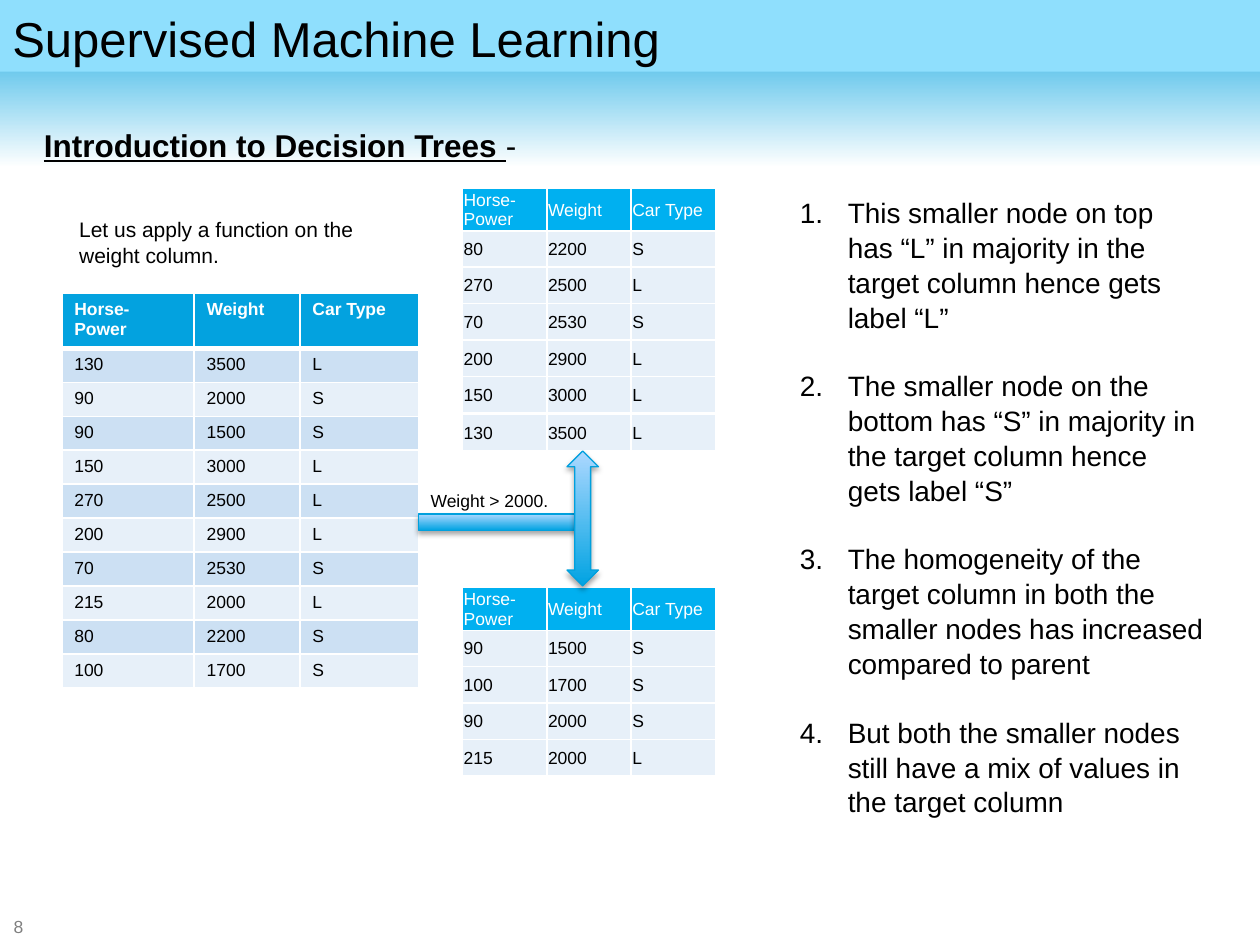
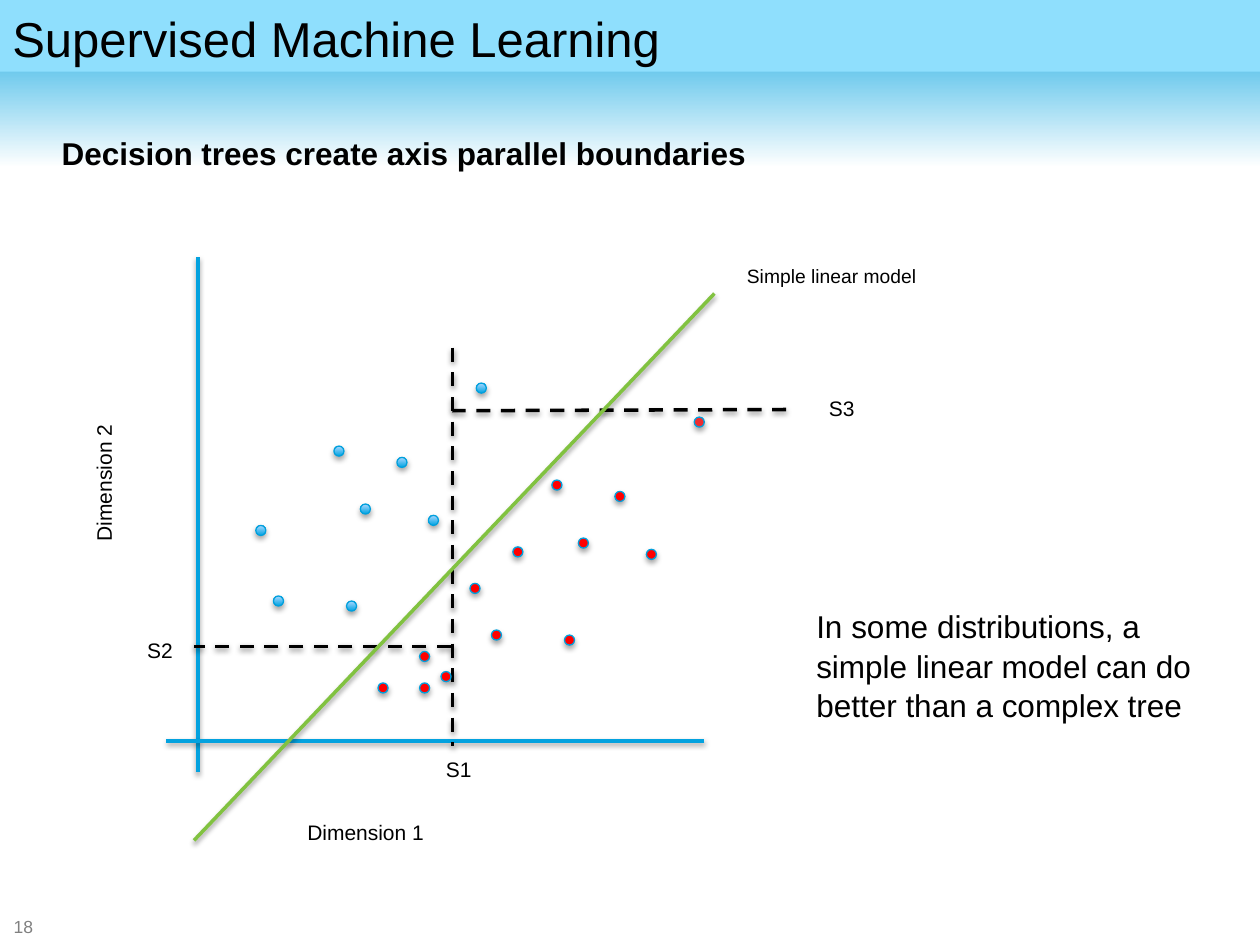
from lxml import etree
from pptx import Presentation
from pptx.dml.color import RGBColor
from pptx.enum.dml import MSO_LINE
from pptx.enum.shapes import MSO_CONNECTOR, MSO_SHAPE
from pptx.enum.text import MSO_ANCHOR
from pptx.oxml.ns import qn
from pptx.util import Inches, Pt

RECTANGLE, OVAL, UP_DOWN_ARROW = MSO_SHAPE.RECTANGLE, MSO_SHAPE.OVAL, MSO_SHAPE.UP_DOWN_ARROW
STRAIGHT, DASH = MSO_CONNECTOR.STRAIGHT, MSO_LINE.DASH
MIDDLE, TOP = MSO_ANCHOR.MIDDLE, MSO_ANCHOR.TOP

BLACK = RGBColor(0x00, 0x00, 0x00)
WHITE = RGBColor(0xFF, 0xFF, 0xFF)
GRAY = RGBColor(0x80, 0x80, 0x80)
TITLE_BLUE = RGBColor(0x8F, 0xDF, 0xFD)
THEME_BLUE = RGBColor(0x03, 0xA2, 0xDF)
NODE_BLUE = RGBColor(0x00, 0xB0, 0xF0)
DEEP_BLUE = RGBColor(0x00, 0xA3, 0xE2)
SOFT_BLUE = RGBColor(0xAD, 0xD8, 0xFF)
OUTLINE_BLUE = RGBColor(0x00, 0xA0, 0xDD)
ROW_DARK = RGBColor(0xCC, 0xE0, 0xF3)
ROW_LIGHT = RGBColor(0xE7, 0xF0, 0xF9)
RED = RGBColor(0xFF, 0x00, 0x00)
OUTLIER_RED = RGBColor(0xEE, 0x2D, 0x30)
GREEN = RGBColor(0x81, 0xC2, 0x40)

WIDTH, HEIGHT = 10, 7.5
FONT = "Arial"
LINE_SPACING = 1.04
TITLE = "Supervised Machine Learning"

HEADER = ("Horse-Power", "Weight", "Car Type")
CARS = [
    (130, 3500, "L"), (90, 2000, "S"), (90, 1500, "S"), (150, 3000, "L"), (270, 2500, "L"),
    (200, 2900, "L"), (70, 2530, "S"), (215, 2000, "L"), (80, 2200, "S"), (100, 1700, "S"),
]
HEAVY_CARS = [
    (80, 2200, "S"), (270, 2500, "L"), (70, 2530, "S"),
    (200, 2900, "L"), (150, 3000, "L"),
]
HEAVIEST_CAR = [(130, 3500, "L")]
LIGHT_CARS = [(90, 1500, "S"), (100, 1700, "S"), (90, 2000, "S"), (215, 2000, "L")]
NODE_LEFT, NODE_COLUMN, NODE_ROW, NODE_HEADER = 3.67, 0.67, 0.29, 0.34
NODE_PARTS = [
    (1.83, HEAVY_CARS, False), (3.29, HEAVIEST_CAR, False), (5, LIGHT_CARS, False),
    (1.49, [HEADER], True), (4.66, [HEADER], True),
]
FINDINGS = [
    "This smaller node on top has “L” in majority in the target column hence gets label “L”",
    "The smaller node on the bottom has “S” in majority in the target column hence gets label “S”",
    "The homogeneity of the target column in both the smaller nodes has increased compared to parent",
    "But both the smaller nodes still have a mix of values in the target column",
]

POINT_SIZE = 0.08
BLUE_POINTS = [
    (2.65, 3.54), (3.15, 3.63), (2.86, 4), (3.4, 4.09),
    (2.03, 4.17), (3.78, 3.04), (2.17, 4.73), (2.75, 4.77),
]
RED_POINTS = [
    (4.38, 3.81), (4.88, 3.9), (4.59, 4.27), (5.13, 4.36), (4.07, 4.34), (3.9, 5),
    (4.48, 5.04), (3.73, 4.63), (3.33, 5.17), (3.33, 5.42), (3, 5.42), (3.5, 5.33),
]
OUTLIER_POINTS = [(5.51, 3.31)]
PLOT_LINES = [
    ((1.57, 2.04), (1.57, 6.13), THEME_BLUE, False),
    ((5.59, 5.88), (1.32, 5.88), THEME_BLUE, False),
    ((3.59, 2.76), (3.59, 5.92), BLACK, True),
    ((6.24, 3.25), (3.59, 3.26), BLACK, True),
    ((3.58, 5.13), (1.54, 5.13), BLACK, True),
    ((1.54, 6.67), (5.67, 2.33), GREEN, False),
]
PLOT_LABELS = [
    ("Dimension 1", (2.34, 6.45, 1.25, 0.3), 12, 0),
    ("Dimension 2", (0.19, 3.62, 1.25, 0.3), 12, 270),
    ("Simple linear model", (5.83, 2.04, 2.14, 0.29), 11, 0),
    ("S3", (6.48, 3.08, 0.52, 0.3), 12, 0),
    ("S1", (3.44, 5.95, 0.52, 0.3), 12, 0),
    ("S2", (1.07, 5, 0.52, 0.3), 12, 0),
    ("In some distributions, a simple linear model can do better than a complex tree",
     (6.38, 4.76, 3.18, 1.01), 18, 0),
]


def inches(values):
    return [Inches(value) for value in values]


def add_run(paragraph, text, size, color=BLACK, bold=False, underline=False):
    run = paragraph.add_run()
    run.text = text
    font = run.font
    font.name, font.size, font.bold, font.underline = FONT, Pt(size), bold, underline
    font.color.rgb = color


def add_text(slide, box, text, size, color=BLACK, bold=False):
    shape = slide.shapes.add_textbox(*inches(box))
    shape.text_frame.word_wrap = True
    paragraph = shape.text_frame.paragraphs[0]
    paragraph.line_spacing = LINE_SPACING
    add_run(paragraph, text, size, color, bold)
    return shape


def add_shadow(shape, opacity, distance):
    effects = etree.SubElement(shape._element.spPr, qn("a:effectLst"))
    shadow = etree.SubElement(effects, qn("a:outerShdw"), blurRad=str(Pt(3.1)),
                              dist=str(Pt(distance)), dir="5400000", rotWithShape="0")
    color = etree.SubElement(shadow, qn("a:srgbClr"), val=str(BLACK))
    etree.SubElement(color, qn("a:alpha"), val=str(opacity * 1000))


def fill_gradient(shape, start, end, angle):
    shape.fill.gradient()
    shape.fill.gradient_angle = angle
    for stop, color in zip(shape.fill.gradient_stops, (start, end)):
        stop.color.rgb = color


def add_glossy(shapes, kind, box, color=None):
    shape = shapes.add_shape(kind, *inches(box))
    if color is None:
        fill_gradient(shape, DEEP_BLUE, SOFT_BLUE, 90)
    else:
        shape.fill.solid()
        shape.fill.fore_color.rgb = color
    shape.line.color.rgb = OUTLINE_BLUE
    shape.line.width = Pt(0.75)
    add_shadow(shape, 35, 1.8)


def add_plot_line(slide, start, end, color, dashed):
    line = slide.shapes.add_connector(STRAIGHT, *inches(start + end))
    line.line.color.rgb = color
    line.line.width = Pt(2)
    if dashed:
        line.line.dash_style = DASH
    add_shadow(line, 38, 1.6)


def add_border(cell, side, width):
    border = etree.SubElement(cell._tc.get_or_add_tcPr(), qn("a:ln" + side), w=str(Pt(width)))
    fill = etree.SubElement(border, qn("a:solidFill"))
    etree.SubElement(fill, qn("a:srgbClr"), val=str(WHITE))


def add_grid(slide, left, top, columns, heights, rows, fills, header, header_bold, compact):
    frame = slide.shapes.add_table(len(rows), len(columns), *inches(
        (left, top, sum(columns), sum(heights))))
    table = frame.table
    table.first_row = table.horz_banding = False
    for column, width in zip(table.columns, columns):
        column.width = Inches(width)
    for r, (values, height, fill) in enumerate(zip(rows, heights, fills)):
        table.rows[r].height = Inches(height)
        is_header = header and r == 0
        for c, value in enumerate(values):
            cell = table.cell(r, c)
            for side in "LRTB":
                thick = header_bold and (r, side) in ((0, "B"), (1, "T"))
                add_border(cell, side, 3 if thick else 1)
            cell.fill.solid()
            cell.fill.fore_color.rgb = fill
            cell.vertical_anchor = MIDDLE if compact else TOP
            if compact:
                cell.margin_left = cell.margin_top = cell.margin_right = Inches(0.01)
                cell.margin_bottom = 0
            add_run(cell.text_frame.paragraphs[0], str(value), 10,
                    WHITE if is_header else BLACK, is_header and header_bold)


def add_node_part(slide, top, rows, is_header):
    height, fill = (NODE_HEADER, NODE_BLUE) if is_header else (NODE_ROW, ROW_LIGHT)
    add_grid(slide, NODE_LEFT, top, [NODE_COLUMN] * 3, [height] * len(rows), rows,
             [fill] * len(rows), is_header, False, True)


def add_findings(slide):
    shape = slide.shapes.add_textbox(*inches((6.25, 1.49, 3.42, 5.25)))
    frame = shape.text_frame
    frame.word_wrap = True
    for index, finding in enumerate(FINDINGS):
        paragraph = frame.paragraphs[0] if index == 0 else frame.add_paragraph()
        paragraph.line_spacing = LINE_SPACING
        if index:
            paragraph.space_before = Pt(19.2)
        properties = paragraph._p.get_or_add_pPr()
        properties.set("marL", str(Inches(0.38)))
        properties.set("indent", str(Inches(-0.38)))
        etree.SubElement(properties, qn("a:buFont"), typeface=FONT)
        etree.SubElement(properties, qn("a:buAutoNum"), type="arabicPeriod")
        add_run(paragraph, finding, 16)


def start_slide(presentation, number):
    slide = presentation.slides.add_slide(presentation.slide_layouts[6])
    band = slide.shapes.add_shape(RECTANGLE, *inches((0, 0, WIDTH, 1.33)))
    fill_gradient(band, THEME_BLUE, WHITE, 270)
    band.line.fill.background()
    band.shadow.inherit = False
    page = add_text(slide, (0.01, 7.27, 0.39, 0.16), str(number), 10, GRAY)
    page.text_frame.vertical_anchor = MIDDLE
    title = add_text(slide, (0, 0, WIDTH, 0.57), TITLE, 28)
    title.fill.solid()
    title.fill.fore_color.rgb = TITLE_BLUE
    return slide


def build_tree_slide(presentation):
    slide = start_slide(presentation, 8)
    add_grid(slide, 0.49, 2.33, [1.05, 0.84, 0.94], [0.42] + [0.27] * len(CARS),
             [HEADER] + CARS, [THEME_BLUE] + [ROW_DARK, ROW_LIGHT] * (len(CARS) // 2),
             True, True, False)
    for part in NODE_PARTS:
        add_node_part(slide, *part)
    add_text(slide, (0.53, 1.66, 2.58, 0.5), "Let us apply a function on the weight column.", 12)
    split = slide.shapes.add_group_shape()
    add_glossy(split.shapes, RECTANGLE, (3.32, 4.08, 1.26, 0.13))
    add_glossy(split.shapes, UP_DOWN_ARROW, (4.5, 3.58, 0.25, 1.07))
    add_text(slide, (3.32, 3.83, 1.26, 0.27), "Weight > 2000.", 10)
    add_findings(slide)
    heading = slide.shapes.add_textbox(*inches((0.25, 0.94, 3.99, 0.4)))
    heading.text_frame.word_wrap = False
    paragraph = heading.text_frame.paragraphs[0]
    paragraph.line_spacing = LINE_SPACING
    add_run(paragraph, "Introduction to Decision Trees ", 18, bold=True, underline=True)
    add_run(paragraph, "-", 18)


def build_boundary_slide(presentation):
    slide = start_slide(presentation, 18)
    add_text(slide, (0.39, 1, 7.58, 0.4), "Decision trees create axis parallel boundaries",
             18, bold=True)
    for line in PLOT_LINES:
        add_plot_line(slide, *line)
    for points, color in ((BLUE_POINTS, None), (RED_POINTS, RED), (OUTLIER_POINTS, OUTLIER_RED)):
        for left, top in points:
            add_glossy(slide.shapes, OVAL, (left, top, POINT_SIZE, POINT_SIZE), color)
    for text, box, size, rotation in PLOT_LABELS:
        add_text(slide, box, text, size).rotation = rotation


def main():
    presentation = Presentation()
    presentation.slide_width, presentation.slide_height = inches((WIDTH, HEIGHT))
    build_tree_slide(presentation)
    build_boundary_slide(presentation)
    presentation.save("out.pptx")


if __name__ == "__main__":
    main()
